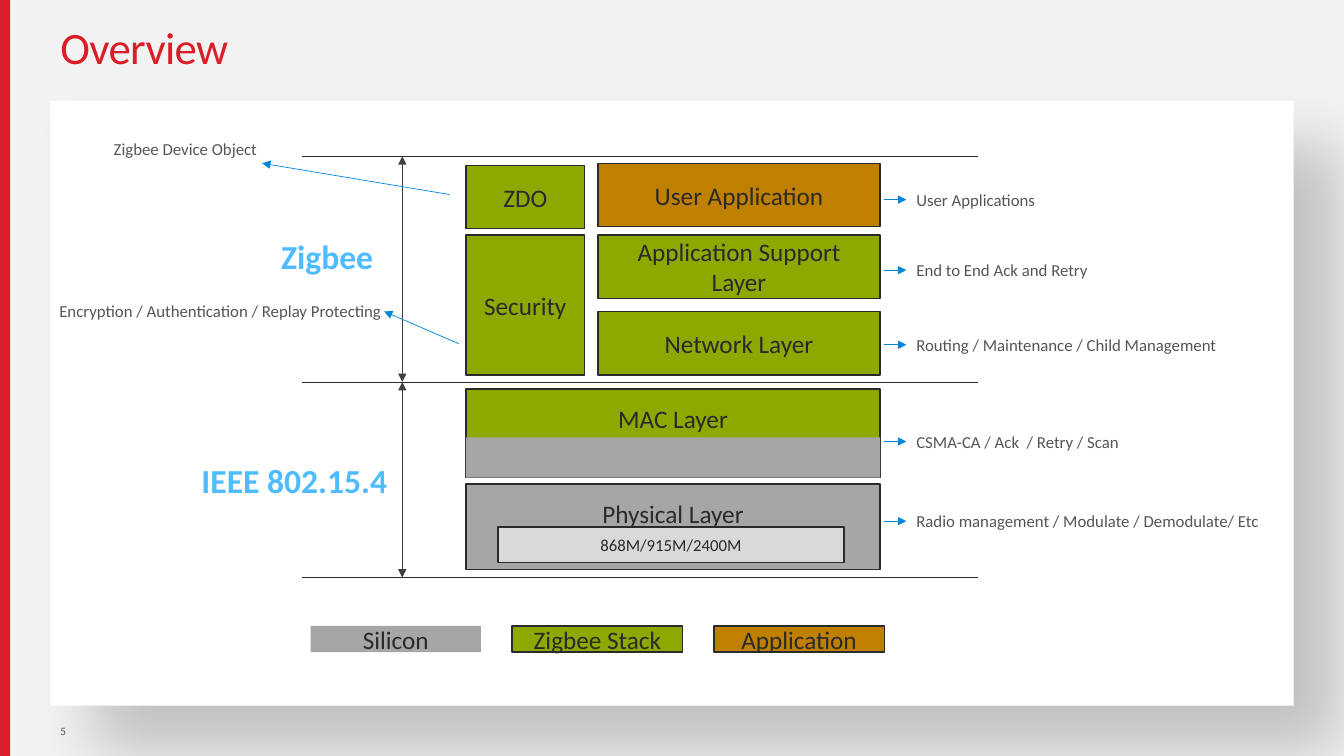
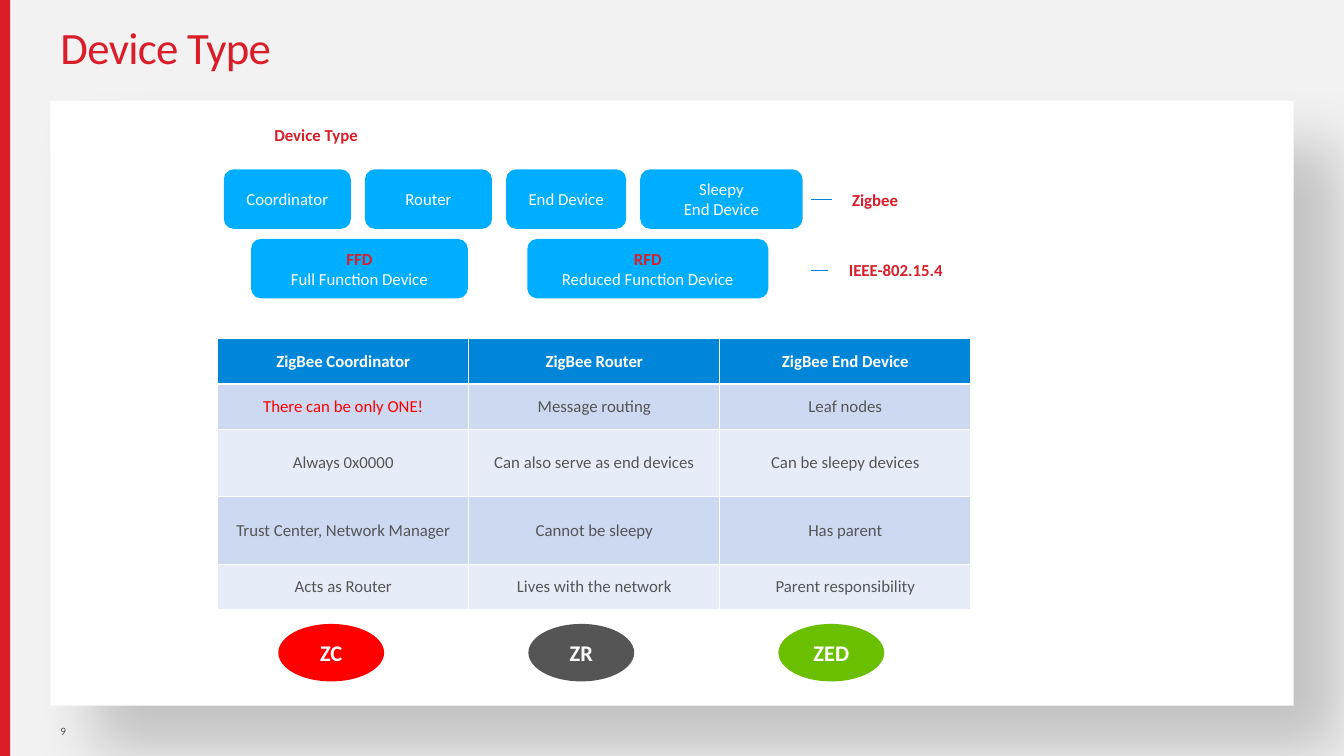
from dataclasses import dataclass

from lxml.etree import SubElement
from pptx import Presentation
from pptx.dml.color import RGBColor
from pptx.enum.shapes import MSO_CONNECTOR, MSO_SHAPE
from pptx.enum.text import MSO_ANCHOR, PP_ALIGN
from pptx.oxml.ns import qn
from pptx.util import Inches, Pt


@dataclass(frozen=True)
class TextStyle:
    size: float
    color: str
    bold: bool = False


@dataclass(frozen=True)
class Theme:
    font: str = "Calibri"
    background: str = "F2F2F2"
    white: str = "FFFFFF"
    brand: str = "D91E2A"
    ink: str = "2A2A2A"
    measure: str = "404040"
    arrow: str = "0086D9"
    silicon: str = "A6A6A6"
    radio: str = "D9D9D9"
    stack: str = "8DA900"
    application: str = "BF8000"
    device: str = "00AEFF"
    alert: str = "FF0000"
    gray: str = "555555"
    green: str = "6BBF01"
    bands: tuple = ("E7EDF8", "CCD9F1")
    title: TextStyle = TextStyle(32, "D91E2A")
    number: TextStyle = TextStyle(8, "555555")
    block: TextStyle = TextStyle(18, "2A2A2A")
    detail: TextStyle = TextStyle(12, "2A2A2A")
    note: TextStyle = TextStyle(12, "555555")
    warning: TextStyle = TextStyle(12, "FF0000")
    span: TextStyle = TextStyle(24, "4FBCFF", True)
    key: TextStyle = TextStyle(12, "D91E2A", True)
    chip: TextStyle = TextStyle(12, "FFFFFF")
    header: TextStyle = TextStyle(12, "FFFFFF", True)
    badge: TextStyle = TextStyle(16, "FFFFFF", True)


THEME = Theme()


@dataclass(frozen=True)
class Box:
    left: float
    top: float
    width: float
    height: float

    def inside(self, left, top, width, height):
        return Box(self.left + left, self.top + top, width, height)

    def lengths(self):
        return [Inches(v) for v in (self.left, self.top, self.width, self.height)]


def apply(target, values):
    for name, value in values.items():
        setattr(target, name, value)


def write(frame, lines, align=PP_ALIGN.CENTER, **values):
    apply(frame, {"word_wrap": True, "vertical_anchor": MSO_ANCHOR.MIDDLE, **values})
    for index, (text, style) in enumerate(lines):
        para = frame.add_paragraph() if index else frame.paragraphs[0]
        para.alignment = align
        span = para.add_run()
        span.text = text
        apply(span.font, {"name": THEME.font, "size": Pt(style.size), "bold": style.bold})
        span.font.color.rgb = RGBColor.from_string(style.color)


def add_block(page, box, fill, lines=(), kind=MSO_SHAPE.RECTANGLE, outline=None, **values):
    shape = page.shapes.add_shape(kind, *box.lengths())
    shape.shadow.inherit = False
    shape.fill.solid()
    shape.fill.fore_color.rgb = RGBColor.from_string(fill)
    if outline:
        shape.line.color.rgb = RGBColor.from_string(outline)
        shape.line.width = Pt(1)
    else:
        shape.line.fill.background()
    if lines:
        write(shape.text_frame, lines, **values)
    return shape


def add_label(page, box, text, style, align=PP_ALIGN.CENTER, **values):
    label = page.shapes.add_textbox(*box.lengths())
    write(label.text_frame, [(text, style)], align, **values)
    return label


def add_line(page, box, start, end, color, heads=()):
    points = [(box.left + x, box.top + y) for x, y in (start, end)]
    line = page.shapes.add_connector(
        MSO_CONNECTOR.STRAIGHT, *[Inches(v) for point in points for v in point])
    line.line.color.rgb = RGBColor.from_string(color)
    line.line.width = Pt(0.5)
    properties = line.element.find(qn("p:spPr"))
    for head in heads:
        SubElement(properties.find(qn("a:ln")), qn(f"a:{head}"), type="triangle")
    SubElement(properties, qn("a:effectLst"))
    return line


def add_panel_shadow(panel):
    effects = panel.element.find(qn("p:spPr")).find(qn("a:effectLst"))
    distance = str(Pt(45))
    shadow = SubElement(effects, qn("a:outerShdw"), blurRad=distance, dist=distance,
                        dir="2700000", algn="tl", rotWithShape="0")
    color = SubElement(shadow, qn("a:srgbClr"), val="000000")
    SubElement(color, qn("a:alpha"), val="20000")


def build_layout(deck, layout, page):
    background = deck.slide_master.background.fill
    background.solid()
    background.fore_color.rgb = RGBColor.from_string(THEME.background)
    bar = add_block(page, Box(0, 0, 0.1, 7.5), THEME.brand)
    panel = add_block(page, Box(0.5, 1, 12.33, 6), THEME.white)
    add_panel_shadow(panel)
    for index, shape in enumerate((bar, panel)):
        shape.element.xpath("./p:nvSpPr/p:cNvPr")[0].set("id", str(101 + index))
        layout.shapes.element.insert(2 + index, shape.element)
    left, top, width, height = Box(0.5, 0, 12.33, 1).lengths()
    apply(layout.placeholders[0],
          {"left": left, "top": top, "width": width, "height": height})


def fill_frame(page, title, number):
    frame = page.shapes.title.text_frame
    write(frame, [(title, THEME.title)], PP_ALIGN.LEFT)
    para = frame.paragraphs[0]
    para.line_spacing = 0.9
    para.runs[0].font._element.set("spc", "-50")
    add_label(page, Box(0.5, 7, 0.35, 0.5), number, THEME.number, PP_ALIGN.LEFT,
              margin_right=0)


def add_protocol_spans(page, box):
    levels = (0, 2.24, box.height)
    for level in levels:
        add_line(page, box, (0, level), (box.width, level), THEME.ink)
    for top, bottom in zip(levels, levels[1:]):
        add_line(page, box, (0.99, top), (0.99, bottom), THEME.measure,
                 ("headEnd", "tailEnd"))
    add_label(page, box.inside(-0.64, 0.74, 1.77, 0.5), "Zigbee", THEME.span)
    add_label(page, box.inside(-1.17, 2.96, 2.18, 0.5), "IEEE 802.15.4", THEME.span)


def add_layer_stack(page, box):
    side, right, wide, unit = 1.18, 1.31, 2.8, 0.63
    upper = (
        ("User Application", THEME.application, (right, 0, wide, unit)),
        ("ZDO", THEME.stack, (0, 0.02, side, unit)),
        ("Security", THEME.stack, (0, 0.71, side, 1.39)),
        ("Application Support Layer", THEME.stack, (right, 0.71, wide, unit)),
        ("Network Layer", THEME.stack, (right, 1.47, wide, unit)),
    )
    lower = (
        ("MAC Layer", THEME.stack, (0, 2.24, box.width, 0.88)),
        ("Physical Layer", THEME.silicon, (0, 3.18, box.width, 0.85)),
    )
    for text, fill, place in upper:
        add_block(page, box.inside(*place), fill, [(text, THEME.block)],
                  outline=THEME.ink)
    for text, fill, place in lower:
        add_block(page, box.inside(*place), fill, [(text, THEME.block)],
                  outline=THEME.ink, vertical_anchor=MSO_ANCHOR.TOP,
                  margin_top=Inches(0.14))
    add_block(page, box.inside(0, 2.72, box.width, 0.4), THEME.silicon)
    add_block(page, box.inside(0.32, 3.61, 3.43, 0.35), THEME.radio,
              [("868M/915M/2400M", THEME.detail)], outline=THEME.ink)


def add_legend(page, box):
    entries = (("Silicon", THEME.silicon, None),
               ("Zigbee Stack", THEME.stack, THEME.ink),
               ("Application", THEME.application, THEME.ink))
    for index, (text, fill, outline) in enumerate(entries):
        add_block(page, box.inside(2 * index, 0, 1.69, box.height), fill,
                  [(text, THEME.block)], outline=outline)


def add_layer_notes(page, box):
    notes = (("User Applications", 0), ("End to End Ack and Retry", 0.7),
             ("Routing / Maintenance / Child Management", 1.44),
             ("CSMA-CA / Ack  / Retry / Scan", 2.4),
             ("Radio management / Modulate / Demodulate/ Etc", 3.19))
    for text, top in notes:
        label = add_label(page, box.inside(0.22, top, 3.64, 0.3), text, THEME.note,
                          PP_ALIGN.LEFT)
        middle = top + 0.15
        arrow = add_line(page, box, (0, middle), (0.22, middle), THEME.arrow,
                         ("tailEnd",))
        arrow.end_connect(label, 1)


def add_side_notes(page, box):
    notes = (("Zigbee Device Object", (0.54, 0, 1.66, 0.3), (3.97, 0.6), (2.11, 0.29)),
             ("Encryption / Authentication / Replay Protecting", (0, 1.6, 3.64, 0.3),
              (4.06, 2.08), (3.32, 1.76)))
    for text, place, start, end in notes:
        add_label(page, box.inside(*place), text, THEME.note, PP_ALIGN.LEFT)
        add_line(page, box, start, end, THEME.arrow, ("tailEnd",))


def add_device_chips(page, box):
    add_label(page, box.inside(0, 0, 1.83, 0.3), "Device Type", THEME.key)
    left = 0
    for lines, width in ((["Coordinator"], 1.26), (["Router"], 1.26),
                         (["End Device"], 1.19), (["Sleepy", "End Device"], 1.61)):
        add_block(page, box.inside(left, 0.49, width, 0.59), THEME.device,
                  [(text, THEME.chip) for text in lines],
                  MSO_SHAPE.FLOWCHART_ALTERNATE_PROCESS)
        left += width + 0.14
    for short, name, left, width in (("FFD", "Full Function Device", 0.27, 2.15),
                                     ("RFD", "Reduced Function Device", 3.01, 2.39)):
        add_block(page, box.inside(left, 1.18, width, 0.59), THEME.device,
                  [(short, THEME.key), (name, THEME.chip)], MSO_SHAPE.ROUNDED_RECTANGLE)
    for text, left, top, width in (("Zigbee", 6.03, 0.64, 0.86),
                                   ("IEEE-802.15.4", 5.99, 1.34, 1.35)):
        label = add_label(page, box.inside(left, top, width, 0.3), text, THEME.key)
        middle = top + 0.15
        line = add_line(page, box, (5.82, middle), (left, middle), THEME.arrow)
        line.end_connect(label, 1)


def add_role_table(page, box):
    rows = (
        ("ZigBee Coordinator", "ZigBee Router", "ZigBee End Device"),
        ("There can be only ONE!", "Message routing", "Leaf nodes"),
        ("Always 0x0000", "Can also serve as end devices", "Can be sleepy devices"),
        ("Trust Center, Network Manager", "Cannot be sleepy", "Has parent"),
        ("Acts as Router", "Lives with the network", "Parent responsibility"),
    )
    table = page.shapes.add_table(len(rows), len(rows[0]), *box.lengths()).table
    for column in table.columns:
        column.width = Inches(box.width / len(rows[0]))
    for row, height in zip(table.rows, (0.45, 0.45, 0.67, 0.67, 0.45)):
        row.height = Inches(height)
    for y, texts in enumerate(rows):
        for x, text in enumerate(texts):
            cell = table.cell(y, x)
            cell.fill.solid()
            fill = THEME.bands[y % 2] if y else THEME.arrow
            cell.fill.fore_color.rgb = RGBColor.from_string(fill)
            style = THEME.note if y else THEME.header
            if (y, x) == (1, 0):
                style = THEME.warning
            write(cell.text_frame, [(text, style)])
            cell.vertical_anchor = MSO_ANCHOR.MIDDLE


def add_role_badges(page, box):
    badges = (("ZC", THEME.alert), ("ZR", THEME.gray), ("ZED", THEME.green))
    for index, (text, fill) in enumerate(badges):
        add_block(page, box.inside(2.48 * index, 0, 1.05, box.height), fill,
                  [(text, THEME.badge)], MSO_SHAPE.OVAL)


def build_overview(page):
    fill_frame(page, "Overview", "5")
    add_protocol_spans(page, Box(3, 1.55, 6.7, 4.18))
    add_layer_stack(page, Box(4.62, 1.62, 4.11, 4.03))
    add_legend(page, Box(3.08, 6.21, 5.69, 0.26))
    add_layer_notes(page, Box(8.77, 1.83, 3.86, 3.49))
    add_side_notes(page, Box(0.49, 1.33, 4.06, 2.08))


def build_device_type(page):
    fill_frame(page, "Device Type", "9")
    add_device_chips(page, Box(2.22, 1.19, 7.34, 1.77))
    add_role_table(page, Box(2.16, 3.36, 7.47, 2.69))
    add_role_badges(page, Box(2.76, 6.19, 6.01, 0.57))


def main():
    deck = Presentation()
    apply(deck, {"slide_width": Inches(13.33), "slide_height": Inches(7.5)})
    layout = deck.slide_layouts[5]
    pages = [deck.slides.add_slide(layout) for _ in range(2)]
    build_layout(deck, layout, pages[0])
    for page, build in zip(pages, (build_overview, build_device_type)):
        build(page)
    deck.save("out.pptx")


if __name__ == "__main__":
    main()
